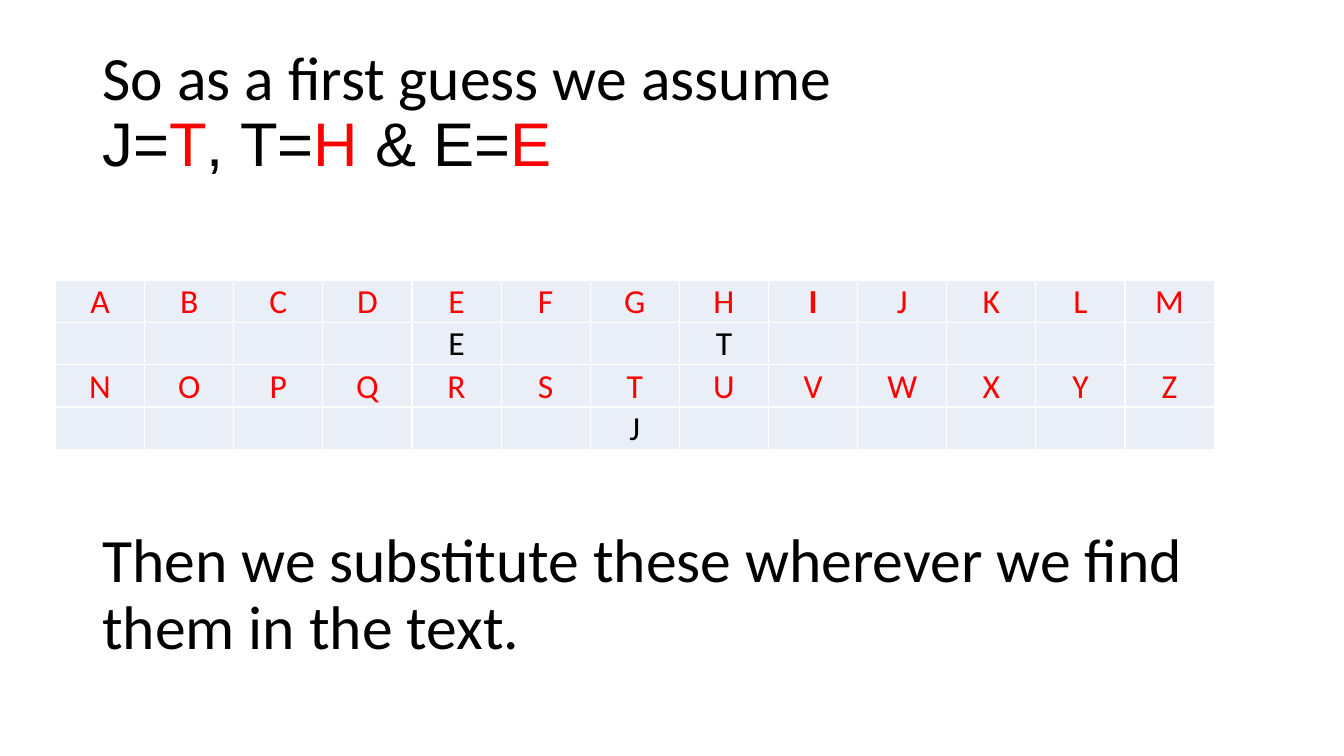
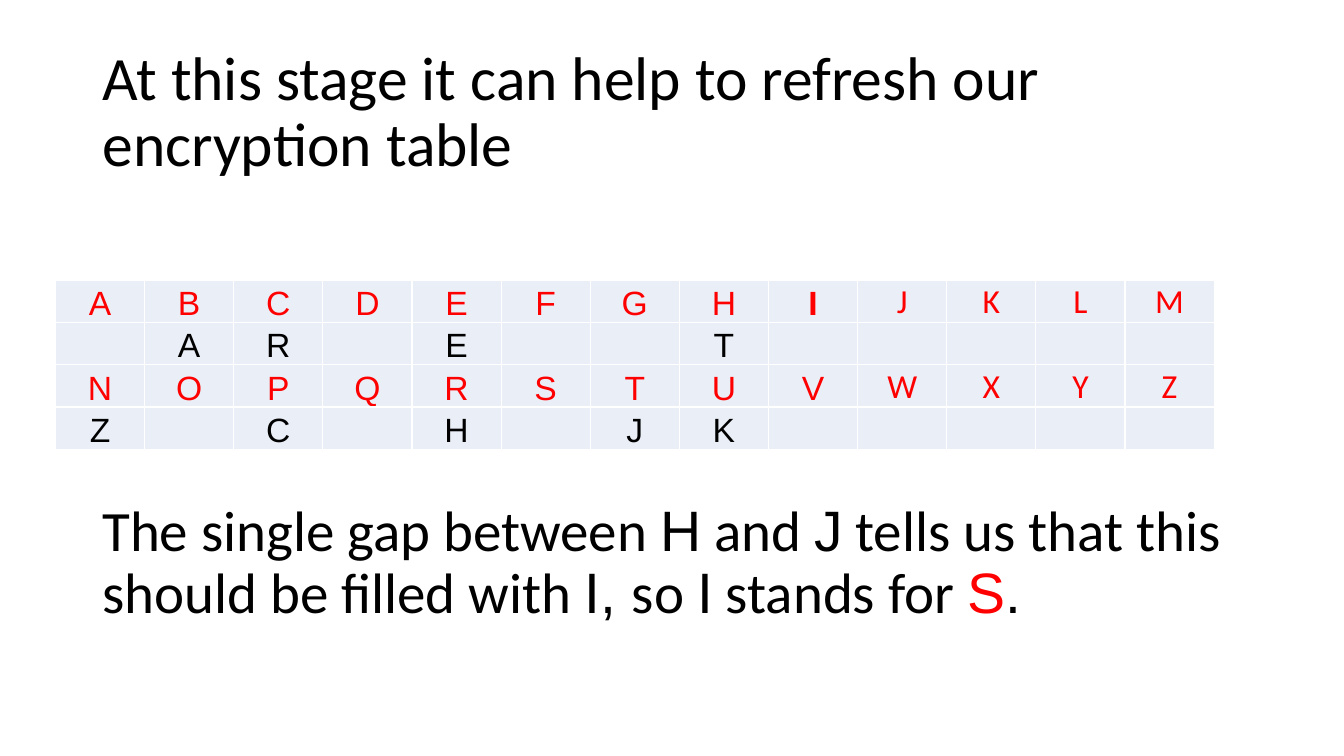
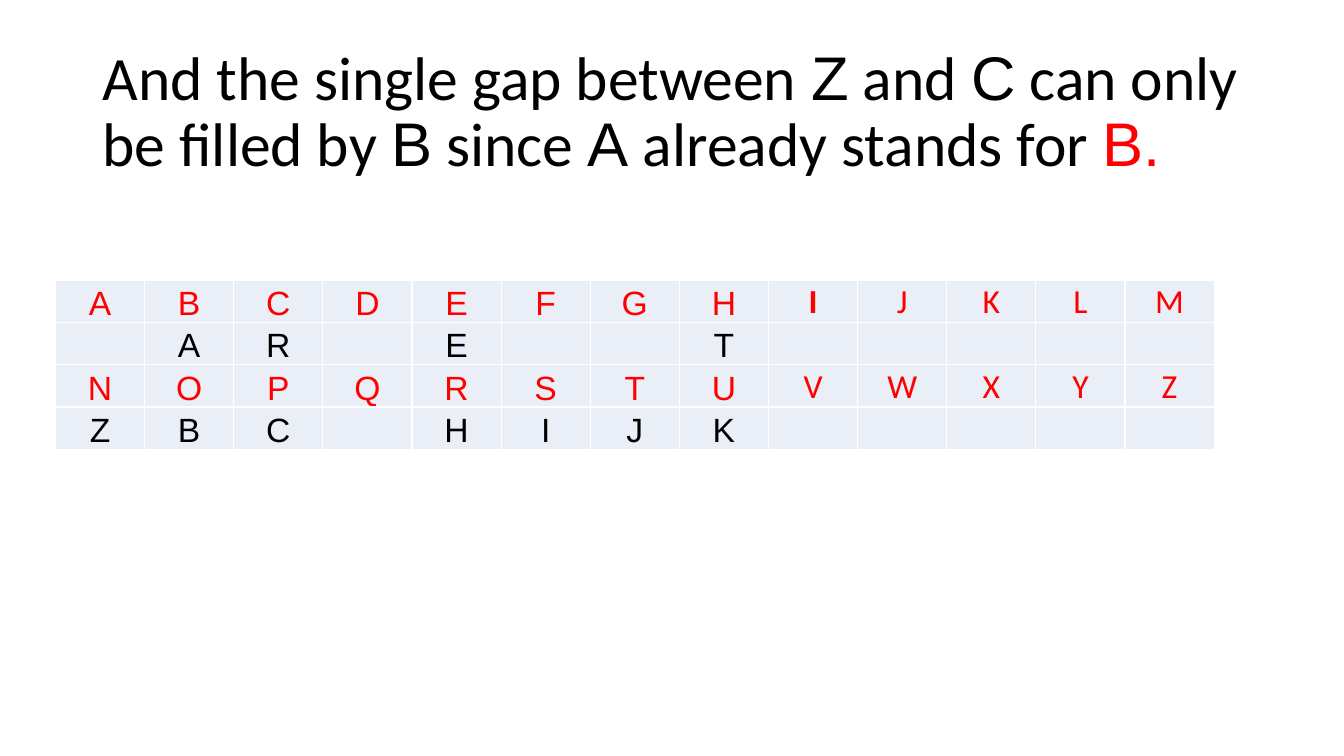
"""Build three slides that fill in a substitution cipher table step by step."""
from dataclasses import dataclass
from typing import Optional

from lxml import etree
from pptx import Presentation
from pptx.dml.color import RGBColor
from pptx.enum.text import MSO_ANCHOR, MSO_AUTO_SIZE, PP_ALIGN
from pptx.oxml.ns import qn
from pptx.shapes.base import BaseShape
from pptx.slide import Slide
from pptx.table import _Cell
from pptx.text.text import _Paragraph
from pptx.util import Pt

MIDDLE = MSO_ANCHOR.MIDDLE
BOTTOM = MSO_ANCHOR.BOTTOM
LEFT = PP_ALIGN.LEFT
CENTER = PP_ALIGN.CENTER
NO_AUTOFIT = MSO_AUTO_SIZE.NONE

COLORS = {"black": "000000", "red": "FF0000", "cell": "EAEFF7", "border": "FFFFFF"}
CALIBRI = "Calibri"
ARIAL = "Arial"
ALPHABET = "ABCDEFGHIJKLMNOPQRSTUVWXYZ"
TITLE_ONLY = 5

TEXT_LEFT, TEXT_WIDTH, TEXT_HEIGHT = 66, 828, 104.4
TITLE_TOP = 28.8
TITLE_SIZE = 44
TABLE_LEFT, TABLE_TOP, TABLE_WIDTH = 39.6, 200.2, 828
COLUMN_COUNT = 13
ROW_HEIGHT = 30.2
LETTER_SIZE = 24
CELL_MARGIN = 0.72


@dataclass(frozen=True)
class Span:
    """A piece of text with its font and colour."""
    text: str
    font: str = CALIBRI
    color: str = "black"


@dataclass(frozen=True)
class Note:
    """A text below the table."""
    spans: list[Span]
    top: float
    size: float


@dataclass(frozen=True)
class CipherPage:
    """One slide: its title, the known letters and an optional note."""
    title: list[Span]
    cipher: dict[str, str]
    arial_columns: int
    note: Optional[Note] = None


def letter(text: str, color: str = "black") -> Span:
    """Return a span set in the letter font."""
    return Span(text, ARIAL, color)


FIRST_GUESS = {"E": "E", "H": "T", "T": "J"}
REFRESHED = FIRST_GUESS | {"B": "A", "C": "R", "N": "Z", "P": "C", "R": "H", "U": "K"}
GAPS_FILLED = REFRESHED | {"O": "B", "S": "I"}

PAGES = [
    CipherPage(
        [Span("So as a first guess we assume \n"), letter("J="), letter("T", "red"),
         letter(", T="), letter("H", "red"), letter(" & E="), letter("E", "red")],
        FIRST_GUESS, 0,
        Note([Span("Then we substitute these wherever we find them in the text.")], 373.7, 44),
    ),
    CipherPage(
        [Span("At this stage it can help to refresh our encryption table")],
        REFRESHED, 9,
        Note([Span("The single gap between "), letter("H"), Span(" and "), letter("J"),
              Span(" tells us that this should be filled with "), letter("I, "),
              Span("so "), letter("I"), Span(" stands for "), letter("S", "red"),
              letter(".")], 350.6, 40.7),
    ),
    CipherPage(
        [Span("And the single gap between "), letter("Z"), Span(" and "), letter("C"),
         Span(" can only be filled by "), letter("B"), Span(" since "), letter("A"),
         Span(" already stands for "), letter("B.", "red")],
        GAPS_FILLED, 8,
    ),
]


def add_text(para: _Paragraph, text: str, *, size: float, font: str = CALIBRI,
             color: str = "black", bold: bool = False) -> None:
    """Append formatted text to a paragraph, with a line break for each newline."""
    for index, line in enumerate(text.split("\n")):
        if index:
            para.add_line_break()
        if line:
            run = para.add_run()
            run.text = line
            run.font.size = Pt(size)
            run.font.name = font
            run.font.bold = bold
            run.font.color.rgb = RGBColor.from_string(COLORS[color])


def fill_box(box: BaseShape, spans: list[Span], *, top: float, size: float) -> None:
    """Place a text shape and write its spans."""
    box.left, box.top = Pt(TEXT_LEFT), Pt(top)
    box.width, box.height = Pt(TEXT_WIDTH), Pt(TEXT_HEIGHT)
    frame = box.text_frame
    frame.word_wrap = True
    frame.auto_size = NO_AUTOFIT
    frame.vertical_anchor = MIDDLE
    para = frame.paragraphs[0]
    para.alignment = LEFT
    para.line_spacing = 0.9
    for span in spans:
        add_text(para, span.text, size=size, font=span.font, color=span.color)


def format_cell(cell: _Cell) -> None:
    """Give a cell its borders, fill, margins and alignment."""
    properties = cell._tc.get_or_add_tcPr()
    for side in ("a:lnL", "a:lnR", "a:lnT", "a:lnB"):
        border = etree.SubElement(properties, qn(side), w=str(Pt(1)))
        fill = etree.SubElement(border, qn("a:solidFill"))
        etree.SubElement(fill, qn("a:srgbClr"), val=COLORS["border"])
    cell.fill.solid()
    cell.fill.fore_color.rgb = RGBColor.from_string(COLORS["cell"])
    cell.margin_left = cell.margin_right = cell.margin_top = Pt(CELL_MARGIN)
    cell.margin_bottom = 0
    cell.vertical_anchor = BOTTOM
    cell.text_frame.paragraphs[0].alignment = CENTER


def add_cipher_table(slide: Slide, page: CipherPage) -> None:
    """Add the alphabet in two halves, each above its cipher letters."""
    row_count = 2 * len(ALPHABET) // COLUMN_COUNT
    table = slide.shapes.add_table(
        row_count, COLUMN_COUNT, Pt(TABLE_LEFT), Pt(TABLE_TOP),
        Pt(TABLE_WIDTH), Pt(row_count * ROW_HEIGHT)).table
    table.first_row = table.horz_banding = False
    for cell in table.iter_cells():
        format_cell(cell)
    for index, plain in enumerate(ALPHABET):
        half, column = divmod(index, COLUMN_COUNT)
        font = ARIAL if column < page.arial_columns else CALIBRI
        plain_para = table.cell(2 * half, column).text_frame.paragraphs[0]
        add_text(plain_para, plain, size=LETTER_SIZE, font=font, color="red", bold=plain == "I")
        cipher_para = table.cell(2 * half + 1, column).text_frame.paragraphs[0]
        add_text(cipher_para, page.cipher.get(plain, ""), size=LETTER_SIZE, font=font)


def main() -> None:
    """Build the deck and save it."""
    deck = Presentation()
    deck.slide_width, deck.slide_height = Pt(960), Pt(540)
    for page in PAGES:
        slide = deck.slides.add_slide(deck.slide_layouts[TITLE_ONLY])
        fill_box(slide.shapes.title, page.title, top=TITLE_TOP, size=TITLE_SIZE)
        add_cipher_table(slide, page)
        if page.note:
            box = slide.shapes.add_textbox(0, 0, 0, 0)
            fill_box(box, page.note.spans, top=page.note.top, size=page.note.size)
    deck.save("out.pptx")


if __name__ == "__main__":
    main()
